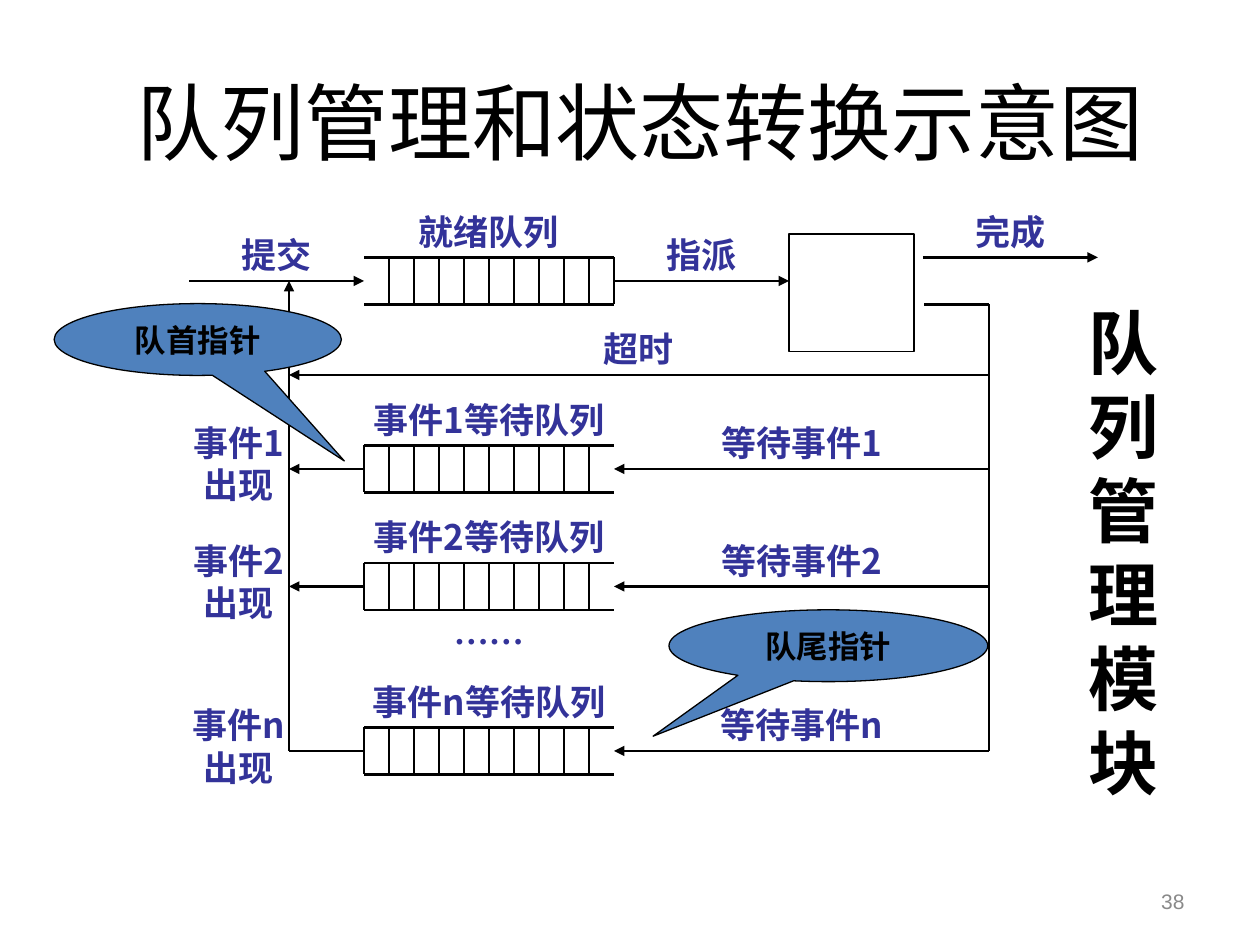
from dataclasses import dataclass

from lxml import etree
from pptx import Presentation
from pptx.dml.color import RGBColor
from pptx.enum.shapes import MSO_CONNECTOR, MSO_SHAPE
from pptx.enum.text import MSO_ANCHOR, PP_ALIGN
from pptx.oxml.ns import qn
from pptx.util import Inches, Pt

STRAIGHT = MSO_CONNECTOR.STRAIGHT
RECTANGLE = MSO_SHAPE.RECTANGLE
CALLOUT = MSO_SHAPE.OVAL_CALLOUT
CENTER, RIGHT = PP_ALIGN.CENTER, PP_ALIGN.RIGHT
TOP, MIDDLE = MSO_ANCHOR.TOP, MSO_ANCHOR.MIDDLE


@dataclass(frozen=True)
class Theme:
    cjk: str = "Noto Sans CJK SC"
    sans: str = "Arial"
    serif: str = "Times New Roman"
    black: RGBColor = RGBColor(0x00, 0x00, 0x00)
    white: RGBColor = RGBColor(0xFF, 0xFF, 0xFF)
    label: RGBColor = RGBColor(0x33, 0x33, 0x99)
    callout: RGBColor = RGBColor(0x4F, 0x81, 0xBD)
    number: RGBColor = RGBColor(0x89, 0x89, 0x89)
    title_size: int = 48
    module_size: int = 40
    label_size: int = 20
    callout_size: int = 18
    number_size: int = 12
    thick: float = 1.5
    thin: float = 0.75


THEME = Theme()

# The diagram sits on a grid of columns and rows
COLUMNS, ROWS = 32, 24
TRUNK, QUEUE_START, QUEUE_END, CPU = 4, 7, 17, 24


def write(frame, text, size, color, bold=False, font=THEME.cjk,
          align=CENTER, anchor=TOP, insets=(0.1, 0.05)):
    frame.word_wrap = True
    frame.vertical_anchor = anchor
    frame.margin_left = frame.margin_right = Inches(insets[0])
    frame.margin_top = frame.margin_bottom = Inches(insets[1])
    frame.text = text
    for paragraph in frame.paragraphs:
        paragraph.alignment = align
        for run in paragraph.runs:
            run.font.size = Pt(size)
            run.font.bold = bold
            run.font.color.rgb = color
            run.font.name = font
            east_asian = etree.SubElement(run.font._element, qn("a:ea"))
            east_asian.set("typeface", THEME.cjk)


def add_text(slide, box, text, size, color, **style):
    textbox = slide.shapes.add_textbox(*map(Inches, box))
    write(textbox.text_frame, text, size, color, **style)


def paint(shape, fill):
    shape.shadow.inherit = False
    shape.fill.solid()
    shape.fill.fore_color.rgb = fill
    shape.line.color.rgb = THEME.black
    shape.line.width = Pt(THEME.thin)


class Grid:
    """Draws the diagram parts in column and row units."""

    def __init__(self, slide, left, top, width, height):
        self.slide = slide
        self.left, self.top = left, top
        self.column, self.row = width / COLUMNS, height / ROWS

    def box(self, column, row, columns, rows):
        return (self.left + column * self.column, self.top + row * self.row,
                columns * self.column, rows * self.row)

    def line(self, x1, y1, x2, y2, width=THEME.thick, arrow=False):
        start, end = self.box(x1, y1, 0, 0)[:2], self.box(x2, y2, 0, 0)[:2]
        connector = self.slide.shapes.add_connector(
            STRAIGHT, *map(Inches, start + end))
        connector.line.color.rgb = THEME.black
        connector.line.width = Pt(width)
        if arrow:
            tail = etree.SubElement(connector.line._get_or_add_ln(), qn("a:tailEnd"))
            tail.set("type", "triangle")
        etree.SubElement(connector._element.spPr, qn("a:effectLst"))

    def label(self, column, row, columns, rows, text, font=THEME.cjk):
        add_text(self.slide, self.box(column, row, columns, rows), text,
                 THEME.label_size, THEME.label, bold=True, font=font, insets=(0, 0))

    def labelled_arrow(self, start, end, row, text):
        self.line(start, row, end, row, arrow=True)
        span = 0.6 * abs(end - start)
        self.label((start + end - span) / 2, row - 2, span, 2, text)

    def queue(self, row, closed_at, text):
        span = QUEUE_END - QUEUE_START
        self.label(QUEUE_START, row - 3, span, 2, text)
        for edge in (row - 1, row + 1):
            self.line(QUEUE_START, edge, QUEUE_END, edge)
        self.line(closed_at, row - 1, closed_at, row + 1)
        for divider in range(QUEUE_START + 1, QUEUE_END):
            self.line(divider, row - 1, divider, row + 1, THEME.thin)


def build_title(slide, left, top, width, height):
    title = slide.shapes.title
    title.left, title.top, title.width, title.height = map(
        Inches, (left, top, width, height))
    write(title.text_frame, "队列管理和状态转换示意图", THEME.title_size,
          THEME.black, anchor=MIDDLE)


def build_diagram(slide, left, top, width, height):
    grid = Grid(slide, left, top, width, height)

    # Ready queue and processor
    grid.queue(3, QUEUE_END, "就绪队列")
    processor = slide.shapes.add_shape(
        RECTANGLE, *map(Inches, grid.box(CPU, 1, 5, 5)))
    paint(processor, THEME.white)
    grid.labelled_arrow(0, QUEUE_START, 3, "提交")
    grid.labelled_arrow(QUEUE_END, CPU, 3, "指派")
    grid.labelled_arrow(29.35, 36.35, 2, "完成")

    # Return path from the processor and trunk back to the ready queue
    grid.line(29.4, 4, COLUMNS, 4)
    grid.line(COLUMNS, 4, COLUMNS, 23)
    grid.labelled_arrow(COLUMNS, TRUNK, 7, "超时")
    grid.line(TRUNK, 23, TRUNK, 3, arrow=True)

    # Waiting queues, one for each event
    for event, row in (("1", 11), ("2", 16), ("n", 23)):
        grid.queue(row, QUEUE_START, f"事件{event}等待队列")
        grid.labelled_arrow(COLUMNS, QUEUE_END, row, f"等待事件{event}")
        grid.line(QUEUE_START, row, TRUNK, row, arrow=event != "n")
        grid.label(0, row - 2, TRUNK, 4, f"事件{event}\n出现")
    grid.label(QUEUE_START, 17, QUEUE_END - QUEUE_START, 2, "……", THEME.serif)


def build_module_name(slide, left, top, width, height):
    add_text(slide, (left, top, width, height), "队列管理模块",
             THEME.module_size, THEME.black, bold=True)


def build_callout(slide, left, top, width, height, text, pointer):
    callout = slide.shapes.add_shape(
        CALLOUT, *map(Inches, (left, top, width, height)))
    callout.adjustments[0], callout.adjustments[1] = pointer
    paint(callout, THEME.callout)
    write(callout.text_frame, text, THEME.callout_size, THEME.black,
          bold=True, font=THEME.sans, anchor=MIDDLE)


def build_slide_number(slide, left, top, width, height):
    add_text(slide, (left, top, width, height), "38", THEME.number_size,
             THEME.number, font=THEME.sans, align=RIGHT, anchor=MIDDLE)


def main():
    deck = Presentation()
    deck.slide_width, deck.slide_height = Inches(10), Inches(7.5)
    slide = deck.slides.add_slide(deck.slide_layouts[5])
    build_title(slide, 0.83, 0.42, 8.5, 1.08)
    build_slide_number(slide, 7.17, 6.95, 2.33, 0.4)
    build_diagram(slide, 1.5, 1.67, 6.35, 4.29 * ROWS / 23)
    build_module_name(slide, 8.42, 2.33, 1, 4.1)
    build_callout(slide, 0.43, 2.41, 2.28, 0.57, "队首指针", (0.51, 1.69))
    build_callout(slide, 5.31, 4.84, 2.53, 0.57, "队尾指针", (-0.55, 1.26))
    deck.save("out.pptx")


if __name__ == "__main__":
    main()
